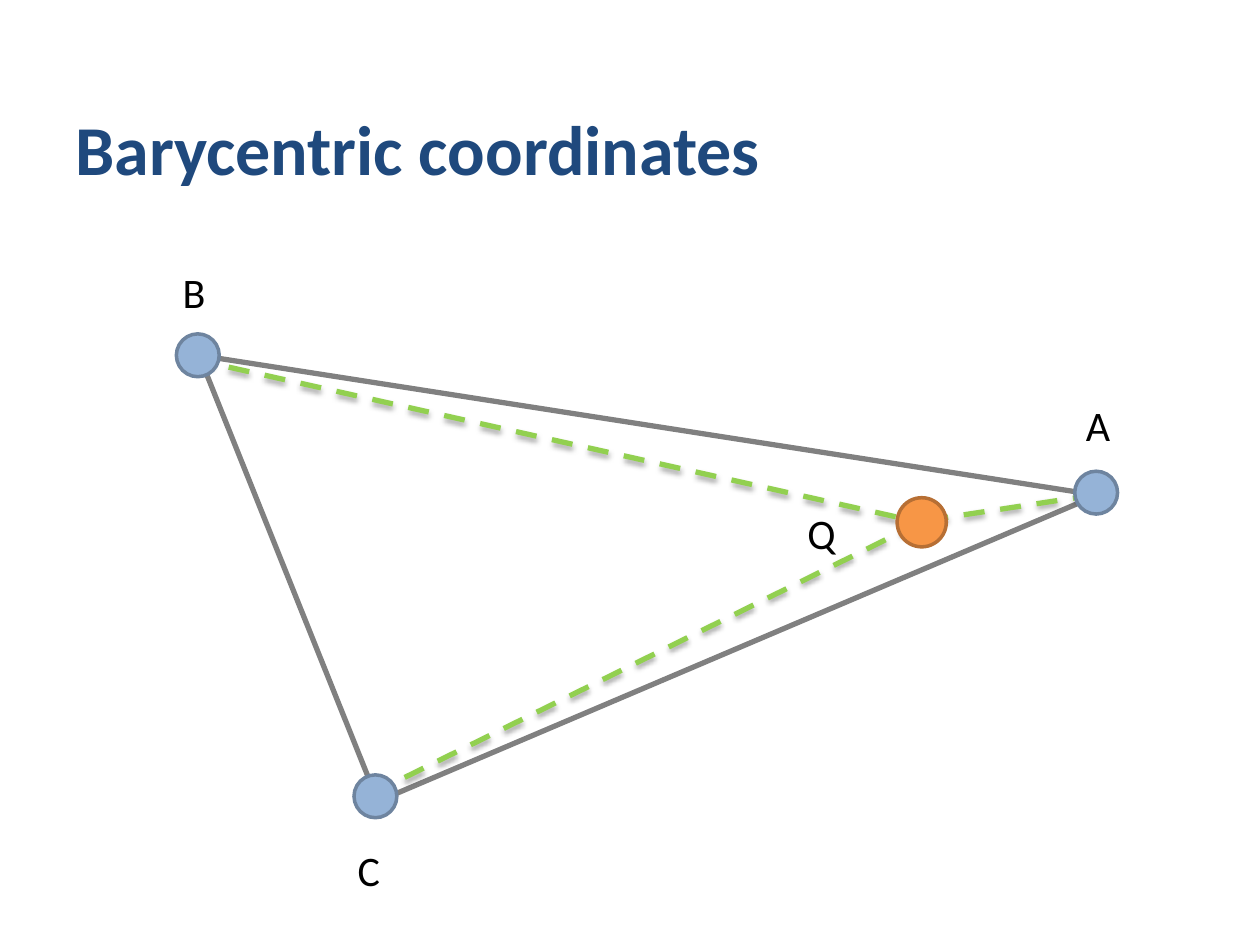
from lxml import etree
from pptx import Presentation
from pptx import util as u
from pptx.dml.color import RGBColor
from pptx.enum import dml, shapes, text
from pptx.oxml.ns import qn

NAVY = RGBColor(0x1F, 0x49, 0x7D)
BLACK = RGBColor(0, 0, 0)
GRAY = RGBColor(0x80, 0x80, 0x80)
GREEN = RGBColor(0x92, 0xD0, 0x50)
BLUE = RGBColor(0x95, 0xB3, 0xD7)
BLUE_EDGE = RGBColor(0x6E, 0x84, 0x9F)
ORANGE = RGBColor(0xF7, 0x96, 0x46)
ORANGE_EDGE = RGBColor(0xB7, 0x6F, 0x34)

TITLE_FONT = {"name": "Calibri", "size": u.Pt(40), "bold": True}
LABEL_FONT = {"name": "Calibri", "size": u.Pt(24)}
TITLE_FRAME = {"word_wrap": True, "vertical_anchor": text.MSO_ANCHOR.BOTTOM}
LABEL_FRAME = {"word_wrap": False, "auto_size": text.MSO_AUTO_SIZE.SHAPE_TO_FIT_TEXT}
DASHED = {"width": u.Pt(3), "dash_style": dml.MSO_LINE.DASH}
SHADOW = {"blurRad": "40000", "dist": "23000", "dir": "5400000", "rotWithShape": "0"}

TRIANGLE = [(0.23, 0.75), (1.65, 4.29), (7.36, 1.86)]
SPOKES = [
    ((0.18, 0.78), (5.93, 2.07)),
    ((6.01, 2.06), (7.39, 1.85)),
    ((1.6, 4.23), (5.95, 2.08)),
]
POINTS = [
    ("C", (1.46, 4.08), 0.34, BLUE, BLUE_EDGE, (1.39, 4.58), 0.38),
    ("A", (7.18, 1.67), 0.34, BLUE, BLUE_EDGE, (7.17, 1.05), 0.4),
    ("B", (0.05, 0.58), 0.34, BLUE, BLUE_EDGE, (0, 0), 0.38),
    ("Q", (5.77, 1.88), 0.39, ORANGE, ORANGE_EDGE, (4.96, 1.91), 0.43),
]


def apply(target, values):
    """Set each named attribute on the target."""
    for name, value in values.items():
        setattr(target, name, value)


def within(box, point):
    """Return a point given in inches from the box corner as slide lengths."""
    return box[0] + u.Inches(point[0]), box[1] + u.Inches(point[1])


def add_text(s, box, words, frame, font, color):
    """Add a text box holding one formatted run."""
    tf = s.shapes.add_textbox(*box).text_frame
    apply(tf, frame)
    r = tf.paragraphs[0].add_run()
    r.text = words
    apply(r.font, font)
    r.font.color.rgb = color


def add_triangle(s, box):
    """Draw the outline through the three vertices."""
    start, *rest = [within(box, point) for point in TRIANGLE]
    builder = s.shapes.build_freeform(*start)
    builder.add_line_segments(rest, close=True)
    sp = builder.convert_to_shape()
    sp.shadow.inherit = False
    sp.fill.background()
    sp.line.color.rgb = GRAY
    sp.line.width = u.Pt(3)


def add_spoke(s, box, start, end):
    """Draw a dashed line with a soft shadow."""
    sp = s.shapes.add_connector(
        shapes.MSO_CONNECTOR.STRAIGHT, *within(box, start), *within(box, end))
    sp.line.color.rgb = GREEN
    apply(sp.line, DASHED)
    effects = etree.SubElement(sp._element.spPr, qn("a:effectLst"))
    shadow = etree.SubElement(effects, qn("a:outerShdw"), SHADOW)
    color = etree.SubElement(shadow, qn("a:srgbClr"), val="000000")
    etree.SubElement(color, qn("a:alpha"), val="35000")


def add_point(s, box, name, corner, size, fill, edge, label_corner, label_width):
    """Draw a round point and its letter."""
    sp = s.shapes.add_shape(
        shapes.MSO_SHAPE.OVAL, *within(box, corner), u.Inches(size), u.Inches(size))
    sp.shadow.inherit = False
    sp.fill.solid()
    sp.fill.fore_color.rgb = fill
    sp.line.color.rgb = edge
    sp.line.width = u.Pt(2)
    label_box = (*within(box, label_corner), u.Inches(label_width), u.Inches(0.5))
    add_text(s, label_box, name, LABEL_FRAME, LABEL_FONT, BLACK)


def add_diagram(s, box):
    """Build the triangle, its inner spokes and the labelled points."""
    add_triangle(s, box)
    for start, end in SPOKES:
        add_spoke(s, box, start, end)
    for point in POINTS:
        add_point(s, box, *point)


def main():
    """Build and save the slide."""
    prs = Presentation()
    prs.slide_width, prs.slide_height = u.Inches(10), u.Inches(7.5)
    s = prs.slides.add_slide(prs.slide_layouts[6])
    title_box = [u.Inches(n) for n in (0.5, 0.13, 8.25, 1.42)]
    add_text(s, title_box, "Barycentric coordinates", TITLE_FRAME, TITLE_FONT, NAVY)
    add_diagram(s, (u.Inches(1.35), u.Inches(2.07)))
    prs.save("out.pptx")


if __name__ == "__main__":
    main()
